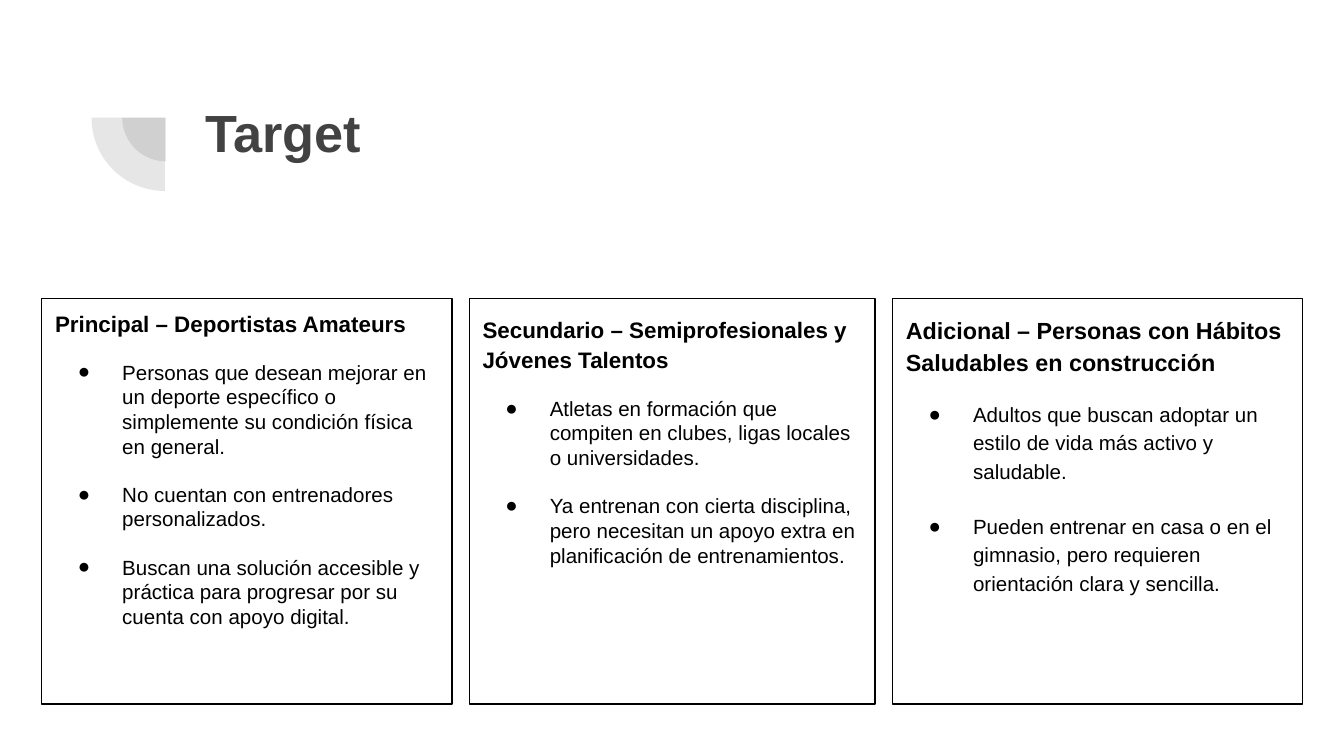
from lxml.etree import SubElement
from pptx import Presentation
from pptx.dml.color import RGBColor
from pptx.enum.shapes import MSO_SHAPE
from pptx.enum.text import MSO_ANCHOR, MSO_AUTO_SIZE, PP_ALIGN
from pptx.oxml.ns import qn
from pptx.util import Cm, Pt

HUES = {"ink": "000000", "gray": "424242"}

# Cards: placeholder index, width, heading, size, spacing and list
CARDS = [
    {"idx": 1, "width": 7.75, "head": "Principal – Deportistas Amateurs",
     "size": 12, "lead": 0.95, "pitch": 1.0, "gap": 12.6,
     "items": [
         "Personas que desean mejorar en un deporte específico o "
         "simplemente su condición física en general.",
         "No cuentan con entrenadores personalizados.",
         "Buscan una solución accesible y práctica para progresar por su "
         "cuenta con apoyo digital."]},
    {"idx": 2, "width": 7.67,
     "head": "Secundario – Semiprofesionales y Jóvenes Talentos",
     "size": 12, "lead": 1.15, "pitch": 1.0, "gap": 12.6,
     "items": [
         "Atletas en formación que compiten en clubes, ligas locales o "
         "universidades.",
         "Ya entrenan con cierta disciplina, pero necesitan un apoyo extra "
         "en planificación de entrenamientos."]},
    {"idx": 3, "width": 7.75,
     "head": "Adicional – Personas con Hábitos Saludables en construcción",
     "size": 12.5, "lead": 1.15, "pitch": 1.15, "gap": 14.5,
     "items": [
         "Adultos que buscan adoptar un estilo de vida más activo y "
         "saludable.",
         "Pueden entrenar en casa o en el gimnasio, pero requieren "
         "orientación clara y sencilla."]},
]


def apply(item, values):
    for name, value in values.items():
        setattr(item, name, value)


def color(name):
    return RGBColor.from_string(HUES[name])


def place(shape, left, top, width, height):
    apply(shape, {"left": Cm(left), "top": Cm(top),
                  "width": Cm(width), "height": Cm(height)})


def set_frame(frame):
    inset = Cm(0.25)
    apply(frame, {"margin_left": inset, "margin_right": inset,
                  "margin_top": inset, "margin_bottom": inset,
                  "word_wrap": True, "auto_size": MSO_AUTO_SIZE.NONE,
                  "vertical_anchor": MSO_ANCHOR.TOP})


def write(para, text, size, hue, bold, pitch=1.0, before=0):
    apply(para, {"alignment": PP_ALIGN.LEFT, "line_spacing": pitch,
                 "space_before": Pt(before), "space_after": Pt(0)})
    run = para.add_run()
    run.text = text
    apply(run.font, {"name": "Arial", "size": Pt(size), "bold": bold})
    run.font.color.rgb = color(hue)


def set_mark(para, char=None):
    props = para._p.get_or_add_pPr()
    left, hang = (1.27, -0.84) if char else (0, 0)
    props.set("marL", str(Cm(left)))
    props.set("indent", str(Cm(hang)))
    if char:
        tint = SubElement(props, qn("a:buClr"))
        SubElement(tint, qn("a:srgbClr"), val=HUES["ink"])
        SubElement(props, qn("a:buFont"), typeface="Arial")
        SubElement(props, qn("a:buChar"), char=char)
    else:
        SubElement(props, qn("a:buNone"))


def add_pie(slide, left, top, size):
    pie = slide.shapes.add_shape(MSO_SHAPE.PIE, 0, 0, 0, 0)
    place(pie, left, top, size, size)
    pie.adjustments[0] = 108
    pie.adjustments[1] = 162
    pie.rotation = 270
    pie.shadow.inherit = False
    pie.line.fill.background()
    pie.fill.solid()
    pie.fill.fore_color.rgb = color("gray")
    tint = pie.fill._xPr.find(".//" + qn("a:srgbClr"))
    SubElement(tint, qn("a:alpha"), val="13000")


def add_title(slide, text):
    title = slide.shapes.title
    place(title, 3.63, 1.65, 19.53, 2.77)
    set_frame(title.text_frame)
    write(title.text_frame.paragraphs[0], text, 28, "gray", True)


def add_card(slide, card, left):
    box = slide.placeholders[card["idx"]]
    place(box, left, 5.64, card["width"], 7.67)
    box.fill.background()
    box.line.color.rgb = color("ink")
    box.line.width = Pt(0.75)
    frame = box.text_frame
    set_frame(frame)
    head = frame.paragraphs[0]
    write(head, card["head"], card["size"], "ink", True, card["lead"], 14)
    set_mark(head)
    for rank, text in enumerate(card["items"]):
        para = frame.add_paragraph()
        before = card["gap"] if rank else 12
        write(para, text, 11, "ink", False, card["pitch"], before)
        set_mark(para, "●")


def main():
    deck = Presentation()
    apply(deck, {"slide_width": Cm(25.4), "slide_height": Cm(14.29)})
    slide = deck.slides.add_slide(deck.slide_layouts.get_by_name("Comparison"))

    # Unused fourth body
    spare = slide.placeholders[4].element
    spare.getparent().remove(spare)

    # Quarter discs and title
    add_pie(slide, 2.31, 1.4, 1.65)
    add_pie(slide, 1.73, 0.84, 2.77)
    add_title(slide, "Target")

    # Cards side by side
    left = 0.79
    for card in CARDS:
        add_card(slide, card, left)
        left += card["width"] + 0.33

    deck.save("out.pptx")


if __name__ == "__main__":
    main()
